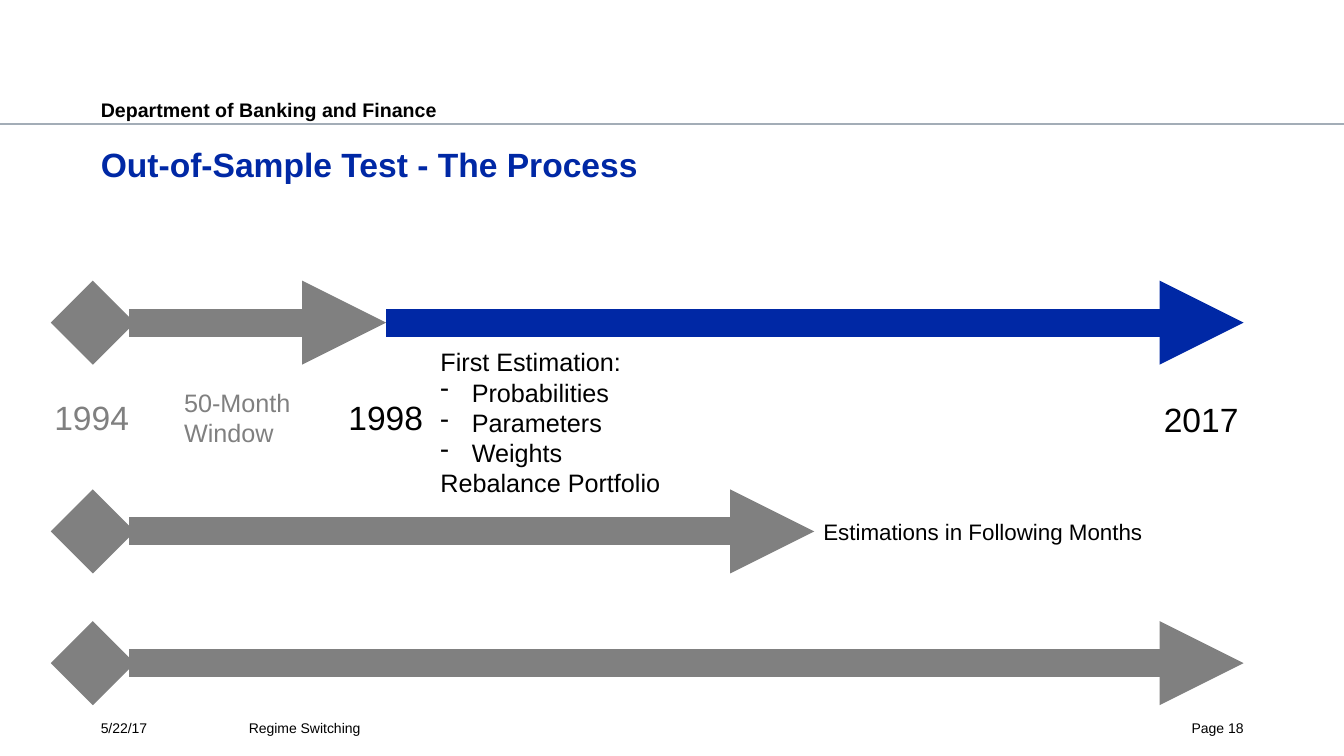
from lxml import etree
from pptx import Presentation
from pptx import util as u
from pptx.dml.color import RGBColor
from pptx.enum import shapes, text
from pptx.oxml import ns

Cm, Pt = u.Cm, u.Pt
COLORS = {"black": "000000", "blue": "0028A5", "gray": "808080", "rule": "A3ADB7"}
LEFT, RIGHT = 2.54, 31.34

deck = Presentation()
deck.slide_width, deck.slide_height = Cm(33.87), Cm(19.05)
slide = deck.slides.add_slide(deck.slide_layouts[6])


def add_line(start, end, y, color, width, head=None, tail=None):
    line = slide.shapes.add_connector(
        shapes.MSO_CONNECTOR.STRAIGHT, Cm(start), Cm(y), Cm(end), Cm(y))
    line.line.color.rgb = RGBColor.from_string(COLORS[color])
    line.line.width = Pt(width)
    for tag, kind in (("a:headEnd", head), ("a:tailEnd", tail)):
        if kind:
            etree.SubElement(line.line._ln, ns.qn(tag), type=kind)
    etree.SubElement(line._element.spPr, ns.qn("a:effectLst"))


def add_text(box, lines, size, color="black", bold=False, margins=None, align=None):
    """Fixed wrapping box when margins are given, else a box that fits its text."""
    frame = slide.shapes.add_textbox(*map(Cm, box)).text_frame
    frame.word_wrap = margins is not None
    if margins is None:
        frame.auto_size = text.MSO_AUTO_SIZE.SHAPE_TO_FIT_TEXT
    else:
        frame.margin_left, frame.margin_top, frame.margin_right, frame.margin_bottom = map(Cm, margins)
    frame.text = "\n".join(lines)
    for paragraph in frame.paragraphs:
        if align is not None:
            paragraph.alignment = align
        paragraph.font.name = "Arial"
        paragraph.font.size = Pt(size)
        paragraph.font.bold = bold
        paragraph.font.color.rgb = RGBColor.from_string(COLORS[color])
    return frame


# Header and title
add_line(0, 33.87, 3.12, "rule", 1.25)
heading = (0, 0.1, 0, 0)
add_text((LEFT, 2.36, 20.37, 0.64), ["Department of Banking and Finance"], 14,
         bold=True, margins=heading)
add_text((LEFT, 3.53, 28.8, 2.21), ["Out-of-Sample Test - The Process"], 24,
         "blue", bold=True, margins=heading)

# Footer
for left, width, label, align in (
    (LEFT, 3.45, "5/22/17", text.PP_ALIGN.LEFT),
    (6.27, 19.46, "Regime Switching", text.PP_ALIGN.LEFT),
    (29.03, 2.31, "Page 18", text.PP_ALIGN.RIGHT),
):
    add_text((left, 18.14, width, 0.61), [label], 10, margins=(0, 0, 0, 0), align=align)

# Timeline arrows
window_end = 9.73
add_line(window_end, RIGHT, 8.13, "blue", 20, tail="triangle")
for end, y in ((window_end, 8.13), (20.52, 13.39), (RIGHT, 16.71)):
    add_line(2.34, end, y, "gray", 20, head="diamond", tail="triangle")

# Years
for left, top, year, color in (
    (1.12, 9.88, "1994", "gray"),
    (8.53, 9.88, "1998", "black"),
    (29.08, 9.93, "2017", "black"),
):
    add_text((left, top, 2.41, 1.27), [year], 24, color)

# Notes on the estimation windows
add_text((4.39, 9.63, 3.23, 1.8), ["50-Month", "Window"], 18, "gray")
add_text((20.5, 12.93, 8.64, 0.94), ["Estimations in Following Months"], 16)
first_estimation = add_text(
    (10.85, 8.61, 6.1, 4.88),
    ["First Estimation:", "Probabilities", "Parameters", "Weights", "Rebalance Portfolio"], 18)
for estimate in first_estimation.paragraphs[1:4]:
    properties = estimate._p.get_or_add_pPr()
    properties.set("marL", str(Cm(0.79)))
    properties.set("indent", str(Cm(-0.79)))
    bullet = etree.Element(ns.qn("a:buChar"), char="-")
    properties.insert(0, bullet)

deck.save("out.pptx")
